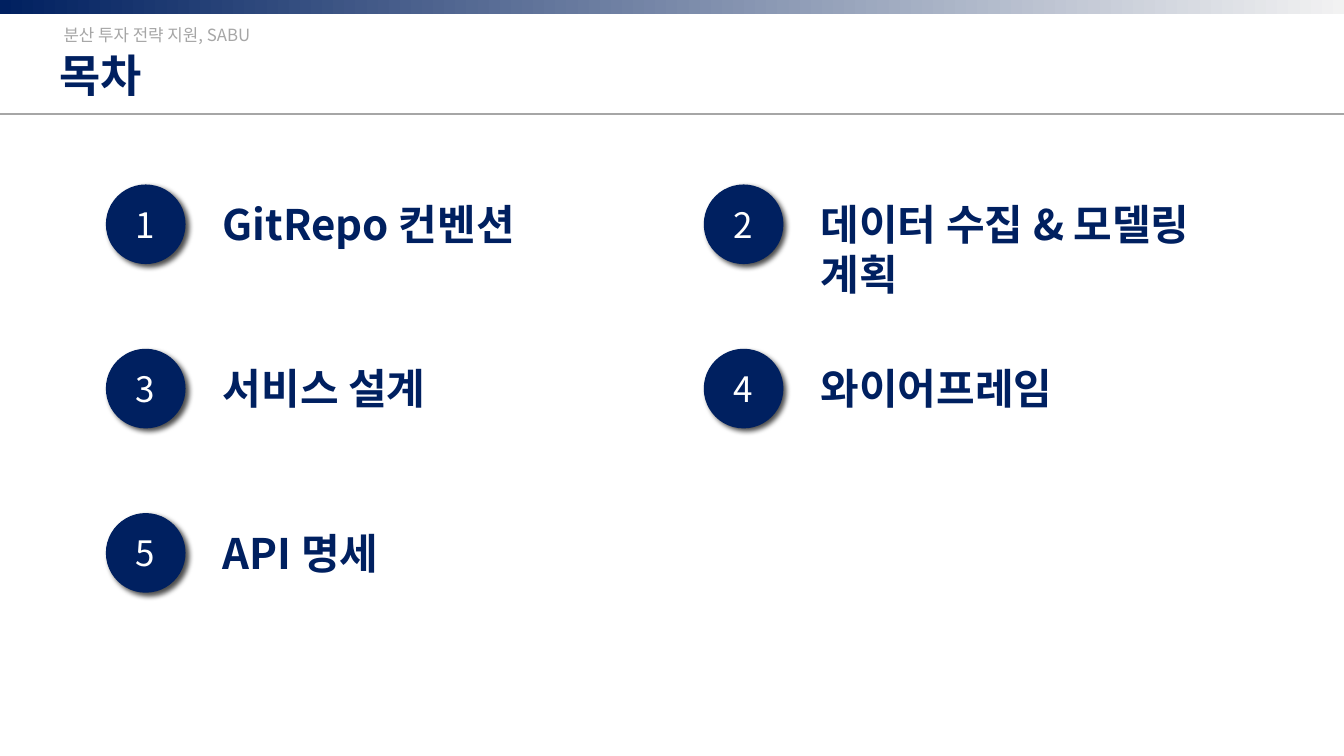
from lxml.etree import SubElement
from pptx import Presentation
from pptx.dml.color import RGBColor
from pptx.enum.shapes import MSO_CONNECTOR, MSO_SHAPE
from pptx.enum.text import MSO_ANCHOR, MSO_AUTO_SIZE, PP_ALIGN
from pptx.oxml import parse_xml
from pptx.oxml.ns import nsdecls, qn
from pptx.util import Inches, Pt

WIDTH, HEIGHT = 13.33, 7.5
FONT = "Noto Sans CJK KR"
NAVY, GRAY, PALE, WHITE = "002060", "A6A6A6", "F2F2F2", "FFFFFF"

COLUMNS = 2
GRID_LEFT, GRID_TOP = 1.05, 1.83
COLUMN_STEP, ROW_STEP = 5.93, 1.63
BADGE_SIZE = 0.79
LABEL_DX, LABEL_DY, LABEL_HEIGHT = 1.16, 0.14, 0.5
LABEL_WIDTH, WIDE_LABEL_WIDTH = 3.67, 4.35

CONTENTS = [
    ("GitRepo 컨벤션", LABEL_WIDTH),
    ("데이터 수집 & 모델링 계획", WIDE_LABEL_WIDTH),
    ("서비스 설계", LABEL_WIDTH),
    ("와이어프레임", LABEL_WIDTH),
    ("API 명세", LABEL_WIDTH),
]


def color(hex_string):
    return RGBColor.from_string(hex_string)


def box(*lengths):
    return [Inches(length) for length in lengths]


def write(shape, text, size, text_color, bold=False, align=PP_ALIGN.LEFT):
    """Set one paragraph, with the same font for Latin and Korean letters."""
    paragraph = shape.text_frame.paragraphs[0]
    paragraph.text = text
    paragraph.alignment = align
    for run in paragraph.runs:
        font = run.font
        font.name, font.size, font.bold = FONT, Pt(size), bold
        font.color.rgb = color(text_color)
        east_asian = SubElement(font._element, qn("a:ea"))
        east_asian.set("typeface", FONT)


def fit_frame(shape):
    """Wrap the text, drop the margins and let the height follow the text."""
    frame = shape.text_frame
    frame.margin_left = frame.margin_right = 0
    frame.margin_top = frame.margin_bottom = 0
    frame.vertical_anchor = MSO_ANCHOR.TOP
    frame.word_wrap = True
    frame.auto_size = MSO_AUTO_SIZE.SHAPE_TO_FIT_TEXT


def add_text(shapes, place, text, size, text_color, bold=False):
    text_box = shapes.add_textbox(*box(*place))
    fit_frame(text_box)
    write(text_box, text, size, text_color, bold)


def add_shadow(shape):
    shape._element.spPr.append(parse_xml(
        f'<a:effectLst {nsdecls("a")}>'
        f'<a:outerShdw blurRad="{Pt(4)}" dist="{Pt(3)}" dir="2700000" '
        'algn="tl" rotWithShape="0">'
        '<a:srgbClr val="000000"><a:alpha val="70000"/></a:srgbClr>'
        '</a:outerShdw></a:effectLst>'))


def add_gradient_band(slide):
    band = slide.shapes.add_shape(MSO_SHAPE.RECTANGLE, *box(0, 0, WIDTH, 0.14))
    band.shadow.inherit = False
    band.line.fill.background()
    band.fill.gradient()
    band.fill.gradient_angle = 0
    for stop, position, hex_string in zip(
            band.fill.gradient_stops, (0, 1), (NAVY, PALE)):
        stop.position = position
        stop.color.rgb = color(hex_string)


def add_header_rule(slide):
    rule = slide.shapes.add_connector(
        MSO_CONNECTOR.STRAIGHT, *box(0, 1.13, WIDTH, 1.13))
    rule.line.color.rgb = color(GRAY)
    rule.line.width = Pt(1)
    SubElement(rule._element.spPr, qn("a:effectLst"))


def set_title(slide, text):
    title = slide.shapes.title
    title.left, title.top, title.width, title.height = box(0.59, 0.47, 4.46, 0.54)
    fit_frame(title)
    write(title, text, 32, NAVY, bold=True)


def add_badge(shapes, left, top, number):
    badge = shapes.add_shape(
        MSO_SHAPE.OVAL, *box(left, top, BADGE_SIZE, BADGE_SIZE))
    badge.fill.solid()
    badge.fill.fore_color.rgb = color(NAVY)
    badge.line.fill.background()
    add_shadow(badge)
    badge.text_frame.vertical_anchor = MSO_ANCHOR.MIDDLE
    write(badge, str(number), 25, WHITE, align=PP_ALIGN.CENTER)


def add_entry(slide, index, text, label_width):
    """Group a label and its numbered badge in the next cell of the grid."""
    row, column = divmod(index, COLUMNS)
    left = GRID_LEFT + column * COLUMN_STEP
    top = GRID_TOP + row * ROW_STEP
    shapes = slide.shapes.add_group_shape().shapes
    place = (left + LABEL_DX, top + LABEL_DY, label_width, LABEL_HEIGHT)
    add_text(shapes, place, text, 30, NAVY, bold=True)
    add_badge(shapes, left, top, index + 1)


def main():
    presentation = Presentation()
    presentation.slide_width, presentation.slide_height = box(WIDTH, HEIGHT)
    title_only = presentation.slide_layouts[5]
    slide = presentation.slides.add_slide(title_only)
    add_header_rule(slide)
    set_title(slide, "목차")
    add_gradient_band(slide)
    add_text(slide.shapes, (0.63, 0.25, 2.08, 0.2),
             "분산 투자 전략 지원, SABU", 12, GRAY)
    for index, (text, label_width) in enumerate(CONTENTS):
        add_entry(slide, index, text, label_width)
    presentation.save("out.pptx")


if __name__ == "__main__":
    main()
